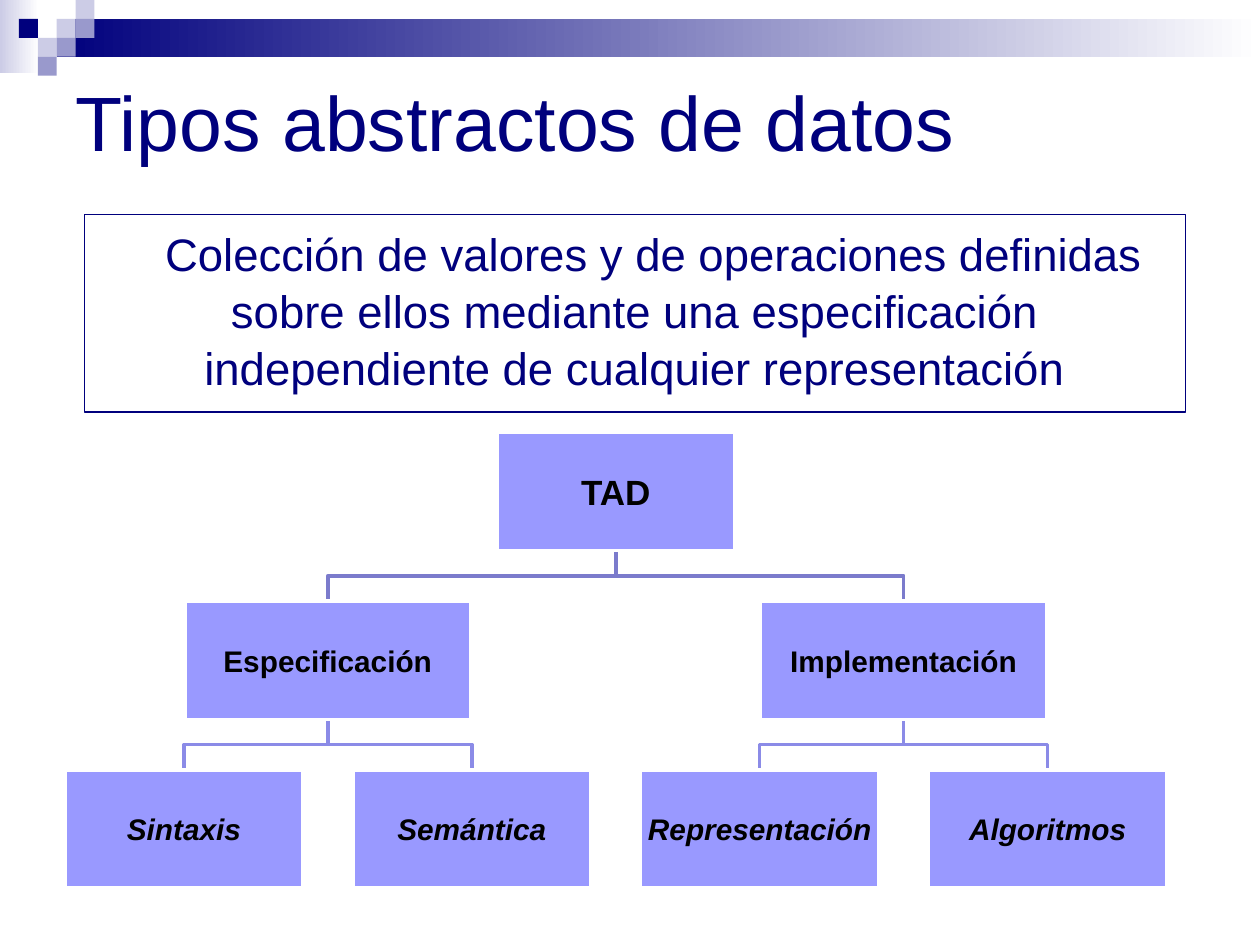
from pptx import Presentation
from pptx.dml.color import RGBColor
from pptx.enum import shapes, text
from pptx.util import Inches, Pt

NAVY = RGBColor(0x00, 0x00, 0x7D)
PALE = RGBColor(0xCC, 0xCC, 0xE6)
MID = RGBColor(0x99, 0x99, 0xCC)
LILAC = RGBColor(0x99, 0x99, 0xFF)
WHITE = RGBColor(0xFF, 0xFF, 0xFF)
BLACK = RGBColor(0x00, 0x00, 0x00)
LINKS = [RGBColor(0x7B, 0x7B, 0xCC), RGBColor(0x8B, 0x8B, 0xE7)]

TITLE = "Tipos abstractos de datos"
BODY = ("Colección de valores y de operaciones definidas sobre ellos "
        "mediante una especificación independiente de cualquier representación")
ROOT = "TAD"
TREE = {
    "Especificación": ["Sintaxis", "Semántica"],
    "Implementación": ["Representación", "Algoritmos"],
}

BANDS = [((0, 0, 0.31, 0.58), PALE), ((0.45, 0.15, 9.55, 0.3), NAVY)]
TILE = 0.15
TILES = [(3, 1, PALE), (4, 0, PALE), (4, 1, MID), (2, 2, PALE),
         (1, 1, NAVY), (3, 2, MID), (2, 3, MID)]  # column, row, colour

LEAF, STEP = 1.46, 2.285  # first leaf centre, distance between leaves
TOP, DROP, TALL = 3.43, 1.34, 0.94
NARROW, WIDE = 1.89, 2.27

deck = Presentation()
deck.slide_width, deck.slide_height = Inches(10), Inches(7.5)
slide = deck.slides.add_slide(deck.slide_layouts[5])


def write(shape, words, size, color=BLACK, bold=False, italic=False,
          align=text.PP_ALIGN.CENTER, anchor=text.MSO_ANCHOR.MIDDLE, inset=None):
    frame = shape.text_frame
    frame.word_wrap = True
    frame.auto_size = text.MSO_AUTO_SIZE.NONE
    frame.vertical_anchor = anchor
    if inset is not None:
        frame.margin_left = frame.margin_right = Inches(inset)
        frame.margin_top = frame.margin_bottom = Inches(inset)
    para = frame.paragraphs[0]
    para.alignment = align
    run = para.add_run()
    run.text = words
    font = run.font
    font.name, font.size, font.bold, font.italic = "Arial", Pt(size), bold, italic
    font.color.rgb = color
    return para


def rect(left, top, width, height, fill=None, line=None, weight=1):
    box = slide.shapes.add_shape(
        shapes.MSO_SHAPE.RECTANGLE, *map(Inches, (left, top, width, height)))
    box.shadow.inherit = False
    if fill is None:
        box.fill.background()
    else:
        box.fill.solid()
        box.fill.fore_color.rgb = fill
    if line is None:
        box.line.fill.background()
    else:
        box.line.color.rgb = line
        box.line.width = Pt(weight)
    return box


def link(start, end, level):
    """Draw an elbow from a parent at this level to a child below it."""
    top = TOP + level * DROP + TALL
    low = TOP + (level + 1) * DROP
    mid = (top + low) / 2
    path = slide.shapes.build_freeform(Inches(start), Inches(top))
    path.add_line_segments(
        [(Inches(x), Inches(y)) for x, y in ((start, mid), (end, mid), (end, low))],
        close=False)
    elbow = path.convert_to_shape()
    elbow.shadow.inherit = False
    elbow.fill.background()
    elbow.line.color.rgb = LINKS[level]
    elbow.line.width = Pt(2)


def node(words, center, level, width, size=17, italic=False):
    box = rect(center - width / 2, TOP + level * DROP, width, TALL, LILAC, WHITE, 2)
    write(box, words, size, bold=True, italic=italic, inset=0.01)


# Header band and tiles
for place, color in BANDS:
    band = rect(*place, fill=color)
    band.fill.gradient()
    band.fill.gradient_angle = 0
    for stop, shade, spot in zip(band.fill.gradient_stops, (color, WHITE), (0, 1)):
        stop.color.rgb = shade
        stop.position = spot
for col, row, color in TILES:
    rect(col * TILE, row * TILE, TILE, TILE, color)

# Title and definition
title = slide.shapes.title
title.left, title.top, title.width, title.height = map(Inches, (0.5, 0.21, 9, 1.5))
write(title, TITLE, 44, NAVY, align=text.PP_ALIGN.LEFT)

note = rect(0.67, 1.7, 8.74, 1.57, line=NAVY, weight=0.75)
para = write(note, BODY, 26, NAVY, anchor=text.MSO_ANCHOR.TOP)
note.text_frame.margin_top = Inches(0.08)
para.line_spacing = 1.04
para._p.get_or_add_pPr().set("indent", str(Inches(0.3)))

# Tree: each parent is centred over its children
leaves, parents = [], []
for name, kids in TREE.items():
    spots = [LEAF + (len(leaves) + i) * STEP for i in range(len(kids))]
    leaves += zip(kids, spots)
    center = sum(spots) / len(spots)
    parents.append((name, center))
    for spot in spots:
        link(center, spot, 1)
middle = sum(x for _, x in parents) / len(parents)
for _, center in parents:
    link(middle, center, 0)

node(ROOT, middle, 0, NARROW, size=20)
for name, center in parents:
    node(name, center, 1, WIDE)
for name, center in leaves:
    node(name, center, 2, NARROW, italic=True)

deck.save("out.pptx")
